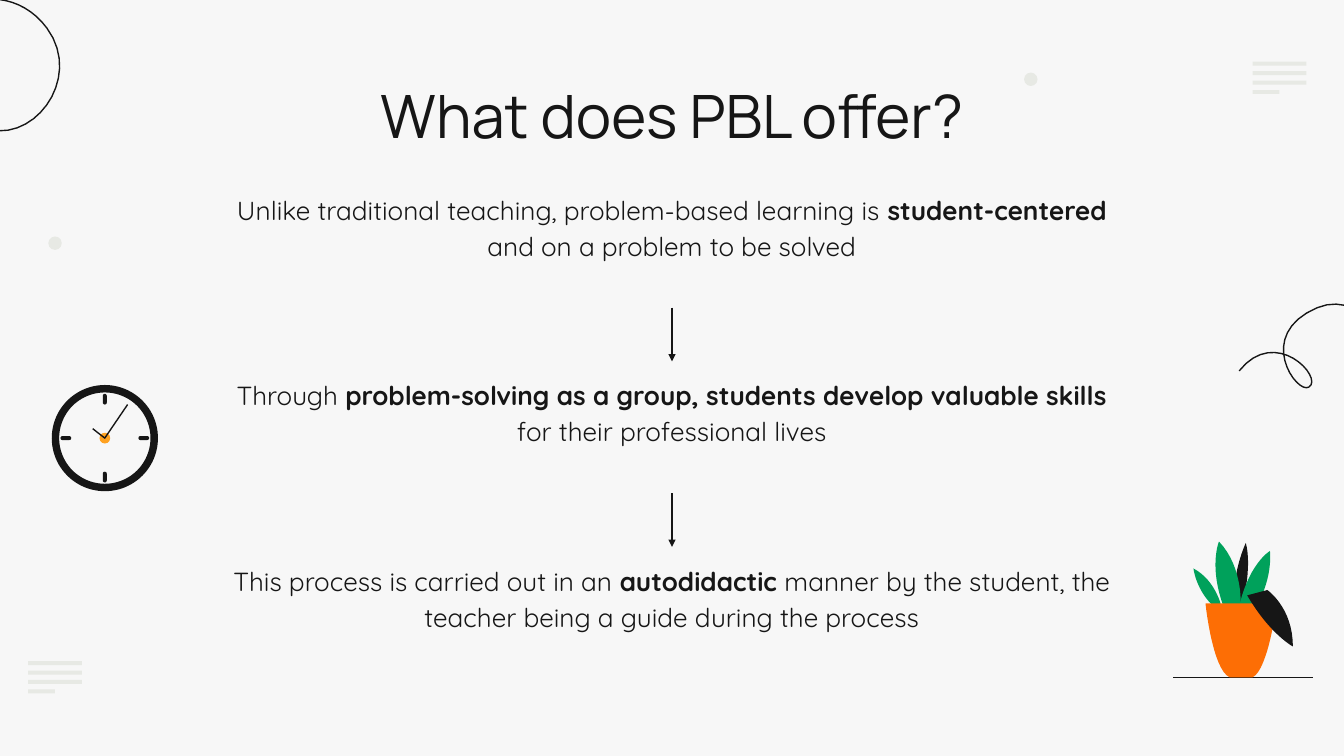
from lxml import etree
from pptx import Presentation
from pptx.dml.color import RGBColor
from pptx.enum.shapes import MSO_CONNECTOR, MSO_SHAPE
from pptx.enum.text import MSO_ANCHOR, MSO_AUTO_SIZE, PP_ALIGN
from pptx.oxml.ns import qn
from pptx.util import Inches, Pt

OVAL = MSO_SHAPE.OVAL
DONUT = MSO_SHAPE.DONUT
BAR = MSO_SHAPE.RECTANGLE
ROUNDED = MSO_SHAPE.ROUNDED_RECTANGLE
STRAIGHT = MSO_CONNECTOR.STRAIGHT
CENTER = PP_ALIGN.CENTER
TOP = MSO_ANCHOR.TOP
MIDDLE = MSO_ANCHOR.MIDDLE
NO_AUTOFIT = MSO_AUTO_SIZE.NONE
COLORS = {
    "background": "F7F7F7",
    "ink": "161616",
    "pale": "E7E9E4",
    "green": "00A15B",
    "orange": "FD6E05",
    "amber": "FFA221",
}
CURVE_STEPS = 16
STATEMENTS = [
    ("Unlike traditional teaching, problem-based learning is ",
     "student-centered", " and on a problem to be solved"),
    ("Through ", "problem-solving as a group, students develop valuable skills",
     " for their professional lives"),
    ("This process is carried out in an ", "autodidactic ",
     "manner by the student, the teacher being a guide during the process"),
]
LOOPS = [
    [(-0.29, 0.07), (-0.17, -0.04, 0.15, -0.06, 0.35, 0.21),
     (0.63, 0.59, 0.23, 1.11, -0.15, 0.94)],
    [(9.22, 2.76), (9.49, 2.42, 9.85, 2.81, 9.74, 2.88),
     (9.65, 2.94, 9.33, 2.49, 9.8, 2.29),
     (10.19, 2.13, 10.5, 2.72, 10.23, 3.01)],
]
PLANT_PARTS = [
    ("ink", [(9.24, 4.52), (9.24, 4.52, 9.32, 4.23, 9.27, 4.04),
             (9.27, 4.04, 9.17, 4.24, 9.18, 4.52)]),
    ("green", [(9.32, 4.56), (9.32, 4.56, 9.47, 4.35, 9.45, 4.1),
               (9.45, 4.1, 9.28, 4.2, 9.21, 4.56)]),
    ("green", [(9.23, 4.53), (9.23, 4.53, 9.26, 4.23, 9.07, 4.03),
               (9.07, 4.03, 8.99, 4.22, 9.11, 4.53)]),
    ("green", [(9.09, 4.52), (9.09, 4.52, 9.05, 4.32, 8.88, 4.23),
               (8.88, 4.23, 8.9, 4.4, 9.04, 4.52)]),
    ("orange", [(9.5, 4.49), (9.5, 4.49, 9.44, 4.98, 9.32, 5.04), (9.15, 5.04),
                (9.02, 4.98, 8.97, 4.49, 8.97, 4.49)]),
    ("ink", [(9.43, 4.39), (9.43, 4.39, 9.62, 4.52, 9.62, 4.81),
             (9.62, 4.81, 9.45, 4.72, 9.28, 4.43)]),
]


def color(name):
    return RGBColor.from_string(COLORS[name])


def paint(shape, fill=None):
    shape.shadow.inherit = False
    if fill:
        shape.fill.solid()
        shape.fill.fore_color.rgb = color(fill)
        shape.line.fill.background()
    else:
        shape.fill.background()
        shape.line.color.rgb = color("ink")
        shape.line.width = Pt(0.75)


def add_preset(shapes, kind, left, top, width, height, fill):
    shape = shapes.add_shape(kind, Inches(left), Inches(top), Inches(width), Inches(height))
    paint(shape, fill)
    return shape


def add_centered(shapes, kind, x, y, width, height, fill):
    return add_preset(shapes, kind, x - width / 2, y - height / 2, width, height, fill)


def trace(segments):
    points = [segments[0]]
    for segment in segments[1:]:
        if len(segment) == 2:
            points.append(segment)
            continue
        controls = [points[-1], segment[:2], segment[2:4], segment[4:]]
        for step in range(1, CURVE_STEPS + 1):
            t = step / CURVE_STEPS
            weights = [(1 - t) ** 3, 3 * t * (1 - t) ** 2, 3 * t * t * (1 - t), t ** 3]
            points.append(tuple(
                sum(weight * control[axis] for weight, control in zip(weights, controls))
                for axis in (0, 1)))
    return points


def add_outline(shapes, segments, fill=None):
    points = [(Inches(x), Inches(y)) for x, y in trace(segments)]
    builder = shapes.build_freeform(*points[0])
    builder.add_line_segments(points[1:], close=fill is not None)
    paint(builder.convert_to_shape(), fill)


def add_line(shapes, x1, y1, x2, y2):
    line = shapes.add_connector(STRAIGHT, Inches(x1), Inches(y1), Inches(x2), Inches(y2))
    line.line.color.rgb = color("ink")
    line.line.width = Pt(0.75)
    etree.SubElement(line._element.spPr, qn("a:effectLst"))
    return line


def add_arrow(shapes, upper, lower):
    arrow = add_line(shapes, 5, 2, 5, 3)
    arrow.begin_connect(upper, 2)
    arrow.end_connect(lower, 0)
    outline = arrow._element.spPr.find(qn("a:ln"))
    etree.SubElement(outline, qn("a:tailEnd"), type="triangle", w="sm", len="sm")


def fill_placeholder(placeholder, box, parts, font, size, anchor):
    placeholder.left, placeholder.top, placeholder.width, placeholder.height = map(Inches, box)
    frame = placeholder.text_frame
    frame.word_wrap = True
    frame.auto_size = NO_AUTOFIT
    frame.vertical_anchor = anchor
    frame.margin_left = frame.margin_right = Inches(0.1)
    frame.margin_top = frame.margin_bottom = Inches(0.1)
    paragraph = frame.paragraphs[0]
    paragraph.alignment = CENTER
    paragraph.space_before = Pt(0)
    for index, text in enumerate(parts):
        run = paragraph.add_run()
        run.text = text
        run.font.name = font
        run.font.size = Pt(size)
        run.font.bold = index == 1
        run.font.color.rgb = color("ink")
    return paragraph


def fill_statement(placeholder, top, parts):
    paragraph = fill_placeholder(
        placeholder, (1.53, top, 6.94, 0.98), parts, "Quicksand", 14, TOP)
    paragraph.line_spacing = 1.15
    properties = paragraph._p.get_or_add_pPr()
    properties.set("marL", "0")
    properties.set("indent", "0")
    etree.SubElement(properties, qn("a:buNone"))


def add_text_lines(slide, left, top):
    shapes = slide.shapes.add_group_shape().shapes
    for row, width in enumerate((0.4, 0.4, 0.4, 0.2)):
        add_preset(shapes, BAR, left, top + row * 0.07, width, 0.03, "pale")


def add_plant(slide):
    shapes = slide.shapes.add_group_shape().shapes
    add_line(shapes, 8.73, 5.04, 9.77, 5.04)
    for fill, segments in PLANT_PARTS:
        add_outline(shapes, segments, fill)


def add_clock(slide, x, y):
    shapes = slide.shapes.add_group_shape().shapes
    rim = add_centered(shapes, DONUT, x, y, 0.79, 0.79, "ink")
    rim.adjustments[0] = 0.07
    add_centered(shapes, OVAL, x, y, 0.08, 0.08, "amber")
    for dx, dy in ((0, 1), (-1, 0), (0, -1), (1, 0)):
        width, height = (0.08, 0.03) if dx else (0.03, 0.08)
        mark = add_centered(shapes, ROUNDED, x + dx * 0.29, y + dy * 0.29, width, height, "ink")
        mark.adjustments[0] = 0.5
    add_outline(shapes, [(x + 0.17, y - 0.25), (x, y), (x - 0.09, y - 0.07)])


def main():
    presentation = Presentation()
    presentation.slide_width = Inches(10)
    presentation.slide_height = presentation.slide_width * 9 // 16
    slide = presentation.slides.add_slide(presentation.slide_layouts[4])
    slide.background.fill.solid()
    slide.background.fill.fore_color.rgb = color("background")
    shapes = slide.shapes

    title, *bodies, spare = list(slide.placeholders)
    spare._element.getparent().remove(spare._element)
    fill_placeholder(title, (0.79, 0.5, 8.42, 0.71), ["What does PBL offer?"],
                     "Manrope", 32, MIDDLE)
    for row, (body, parts) in enumerate(zip(bodies, STATEMENTS)):
        fill_statement(body, 1.31 + row * 1.38, parts)
    for upper, lower in zip(bodies, bodies[1:]):
        add_arrow(shapes, upper, lower)

    for left, top in ((0.36, 1.76), (7.62, 0.54)):
        add_preset(shapes, OVAL, left, top, 0.1, 0.1, "pale")
    for left, top in ((0.21, 4.92), (9.32, 0.46)):
        add_text_lines(slide, left, top)
    for segments in LOOPS:
        add_outline(shapes, segments)
    add_plant(slide)
    add_clock(slide, 0.78, 3.26)
    presentation.save("out.pptx")


if __name__ == "__main__":
    main()
